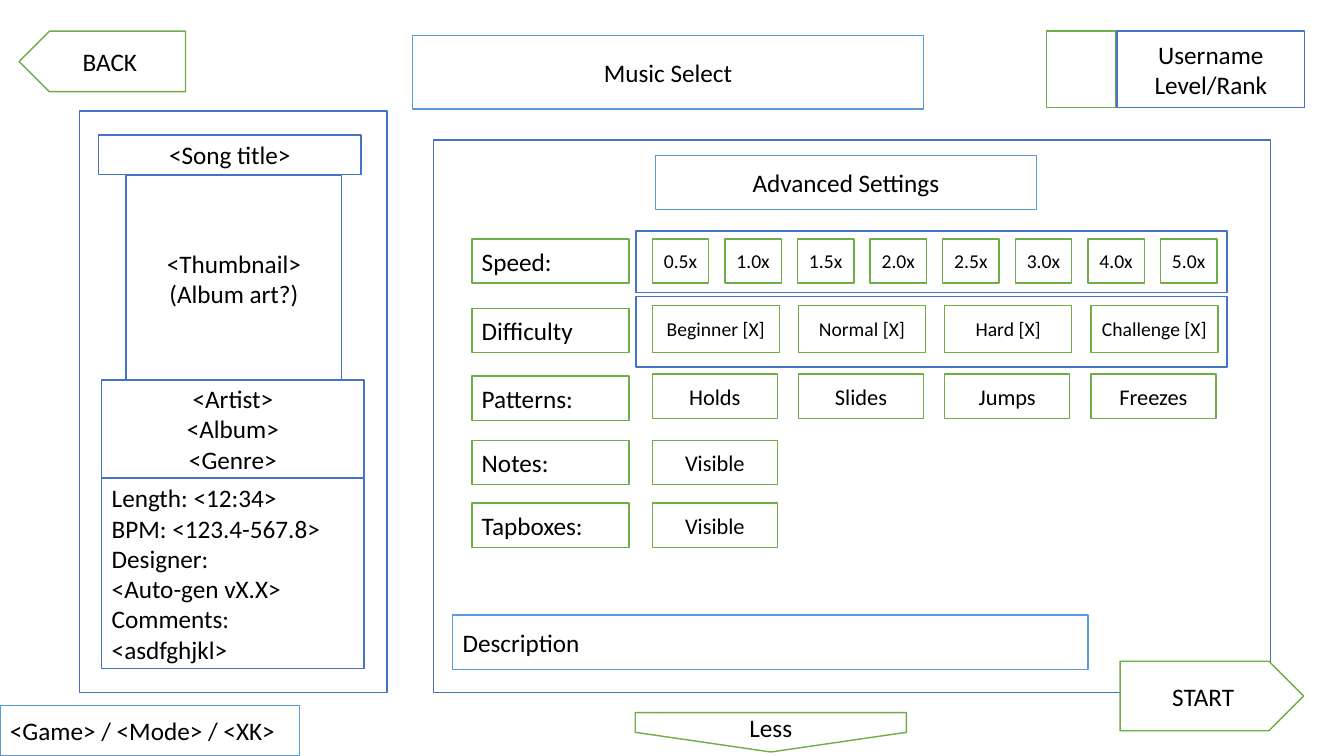
from pptx import Presentation, util as u
from pptx.dml.color import RGBColor
from pptx.enum import shapes, text

NAVY = RGBColor(0x44, 0x72, 0xC4)
SKY = RGBColor(0x5B, 0x9B, 0xD5)
GREEN = RGBColor(0x70, 0xAD, 0x47)
WHITE = RGBColor(255, 255, 255)
BLACK = RGBColor(0, 0, 0)
LEFT, CENTER = text.PP_ALIGN.LEFT, text.PP_ALIGN.CENTER
RECT, ARROW = shapes.MSO_SHAPE.RECTANGLE, shapes.MSO_SHAPE.PENTAGON

prs = Presentation()
prs.slide_width, prs.slide_height = u.Inches(13.33), u.Inches(7.5)
s = prs.slides.add_slide(prs.slide_layouts[5])


def style(sp, color, paragraphs, size, align):
    """Give a shape its white fill, outline and text; newlines break lines."""
    sp.fill.solid()
    sp.fill.fore_color.rgb = WHITE
    sp.line.color.rgb = color
    sp.line.width = u.Pt(1)
    tf = sp.text_frame
    tf.word_wrap = True
    tf.auto_size = text.MSO_AUTO_SIZE.NONE
    tf.vertical_anchor = text.MSO_ANCHOR.MIDDLE
    for i, words in enumerate(paragraphs):
        p = tf.add_paragraph() if i else tf.paragraphs[0]
        p.alignment = align
        for j, line in enumerate(words.split("\n")):
            if j:
                p.add_line_break()
            r = p.add_run()
            r.text = line
            r.font.size = u.Pt(size)
            r.font.name = "Calibri"
            r.font.color.rgb = BLACK


def box(x, y, w, h, color, *paragraphs, size=18, align=CENTER, kind=RECT):
    """Add an outlined shape, measured in inches, and return it."""
    sp = s.shapes.add_shape(kind, *map(u.Inches, (x, y, w, h)))
    sp.shadow.inherit = False
    style(sp, color, paragraphs, size, align)
    return sp


# Header
title = s.shapes.title
title.left, title.top = u.Inches(4.09), u.Inches(0.35)
title.width, title.height = u.Inches(5.07), u.Inches(0.73)
style(title, SKY, ["Music Select"], 18, CENTER)
back = box(0.19, 0.31, 1.65, 0.6, GREEN, "BACK", kind=ARROW)
back._element.spPr.xfrm.set("flipH", "1")
box(10.38, 0.31, 0.69, 0.76, GREEN)
box(11.08, 0.31, 1.86, 0.76, NAVY, "Username\nLevel/Rank")

# Advanced settings panel
box(4.3, 1.39, 8.3, 5.48, NAVY)
box(6.31, 2.94, 5.86, 0.7, NAVY)
box(6.31, 2.29, 5.86, 0.61, NAVY)
box(6.5, 1.54, 3.78, 0.54, SKY, "Advanced Settings")
box(4.49, 6.1, 6.3, 0.54, SKY, "Description", align=LEFT)
box(11.11, 6.56, 1.82, 0.69, GREEN, "START", kind=ARROW)

# Setting rows: label, label top, option top, width, height, step, size, options
rows = [
    ("Speed:", 2.37, 2.37, 0.56, 0.44, 0.72, 14,
     ["0.5x", "1.0x", "1.5x", "2.0x", "2.5x", "3.0x", "4.0x", "5.0x"]),
    ("Difficulty", 3.06, 3.03, 1.26, 0.47, 1.45, 14,
     ["Beginner [X]", "Normal [X]", "Hard [X]", "Challenge [X]"]),
    ("Patterns:", 3.73, 3.71, 1.24, 0.44, 1.45, 16,
     ["Holds", "Slides", "Jumps", "Freezes"]),
    ("Notes:", 4.37, 4.37, 1.24, 0.44, 1.45, 16, ["Visible"]),
    ("Tapboxes:", 4.99, 4.99, 1.24, 0.44, 1.45, 16, ["Visible"]),
]
for label, label_top, top, width, height, step, size, options in rows:
    box(4.68, label_top, 1.56, 0.44, GREEN, label, align=LEFT)
    for i, option in enumerate(options):
        box(6.47 + i * step, top, width, height, GREEN, option, size=size)

# Song panel
box(0.79, 1.1, 3.05, 5.77, NAVY)
box(0.98, 1.34, 2.6, 0.39, NAVY, "<Song title>")
box(1.25, 1.74, 2.14, 2.04, NAVY, "<Thumbnail>\n(Album art?)")
details = box(1.01, 4.74, 2.6, 1.89, NAVY, "Length: <12:34>",
              "BPM: <123.4-567.8>", "Designer:\n<Auto-gen vX.X>",
              "Comments:\n<asdfghjkl>", align=LEFT)
details.text_frame.vertical_anchor = text.MSO_ANCHOR.TOP
box(1.01, 3.77, 2.6, 0.97, NAVY, "<Artist>\n<Album>\n<Genre>")

# Footer
box(0, 7, 2.97, 0.5, SKY, "<Game> / <Mode> / <XK>", align=LEFT)
less = box(7.45, 5.92, 0.39, 2.69, GREEN, "Less", kind=ARROW)
less.rotation = 90
less.text_frame._txBody.bodyPr.set("vert", "vert270")

prs.save("out.pptx")
